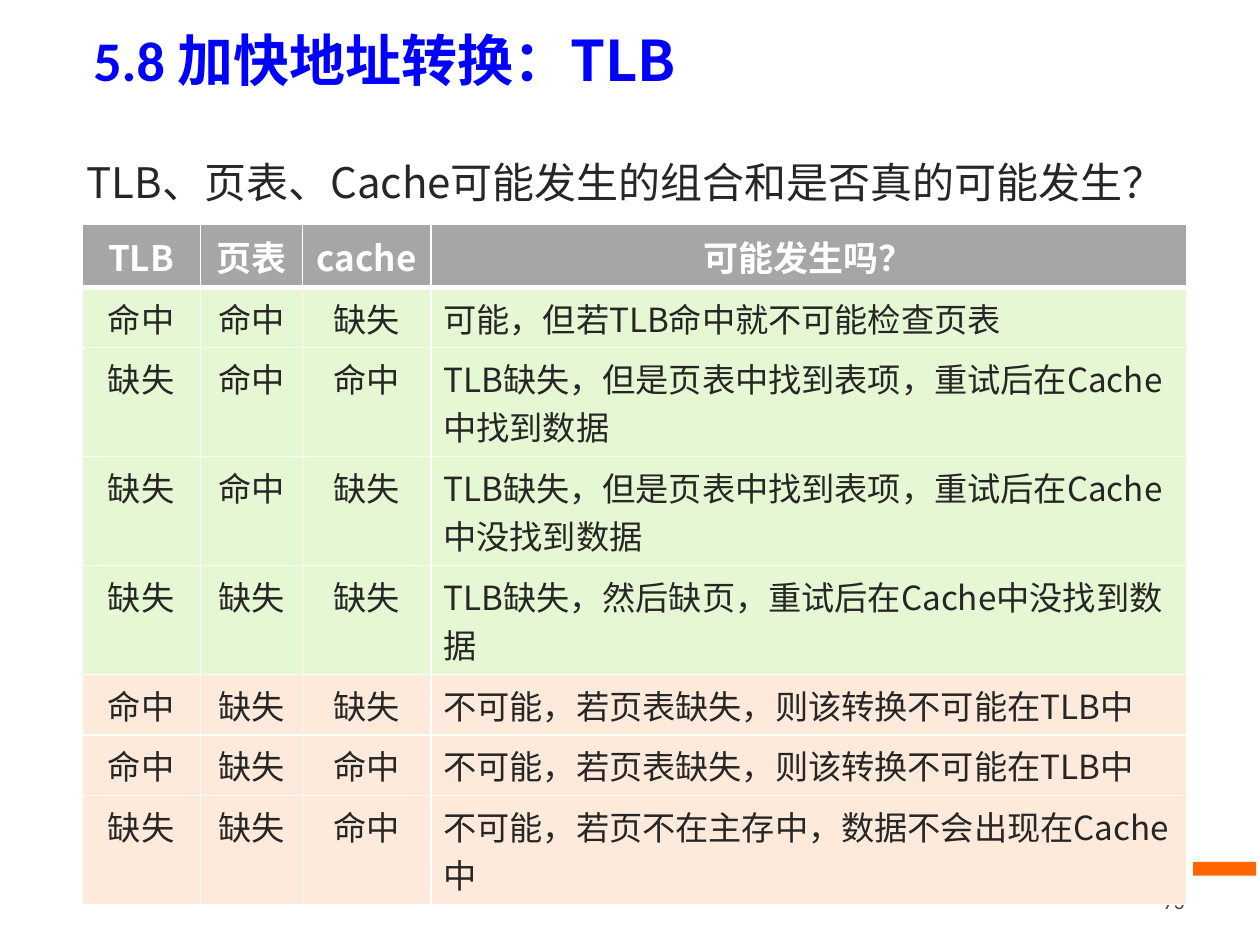
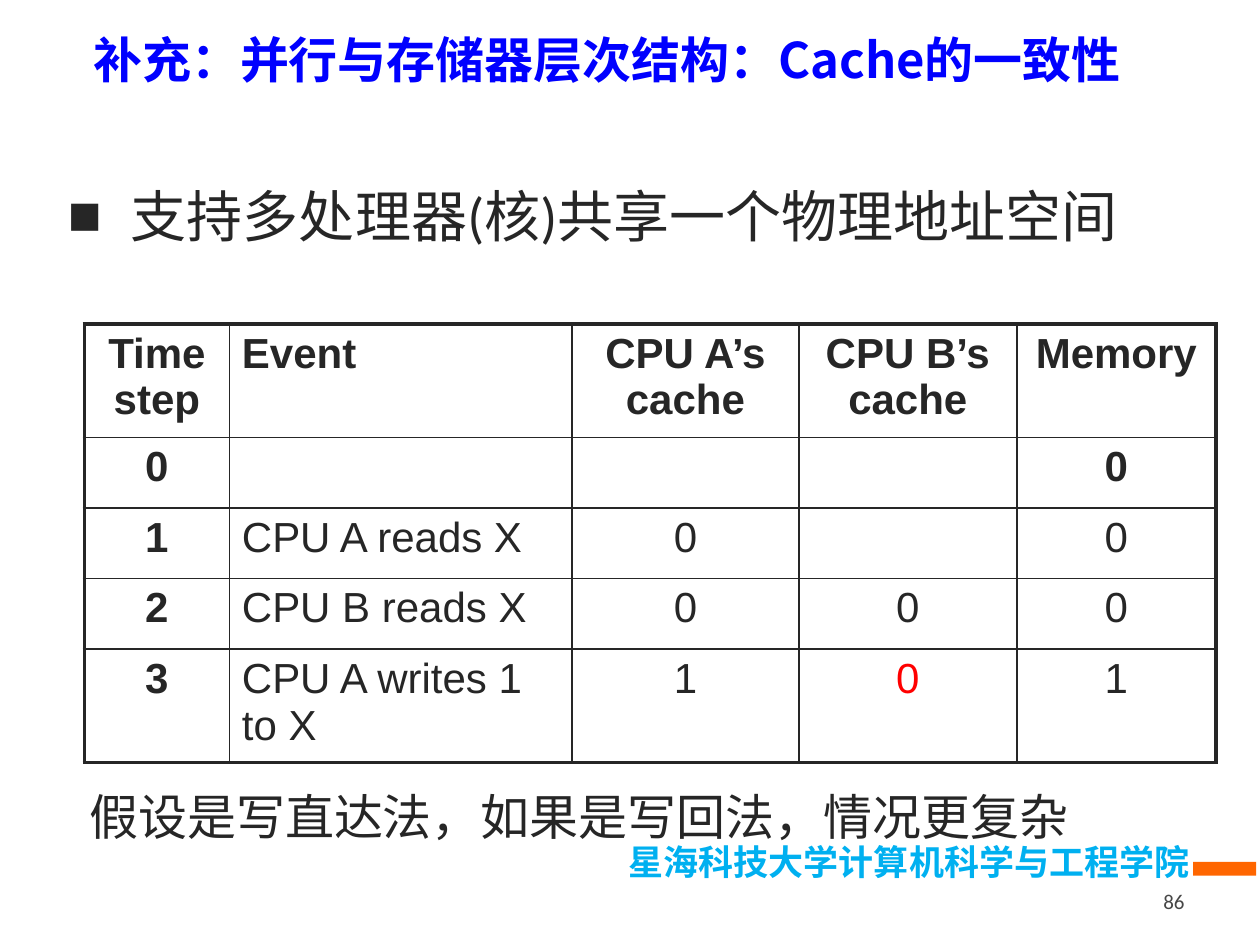
from pptx import Presentation
from pptx import util as u
from pptx.dml.color import RGBColor
from pptx.enum import shapes, text
from pptx.oxml import xmlchemy

BLUE = RGBColor(0x00, 0x00, 0xFF)
SKY = RGBColor(0x00, 0xB0, 0xF0)
ORANGE = RGBColor(0xFF, 0x66, 0x00)
RED = RGBColor(0xFF, 0x00, 0x00)
INK = RGBColor(0x26, 0x26, 0x26)
SLATE = RGBColor(0x47, 0x47, 0x47)
WHITE = RGBColor(0xFF, 0xFF, 0xFF)
HEADER_GREY = RGBColor(0xA6, 0xA6, 0xA6)
POSSIBLE_GREEN = RGBColor(0xE5, 0xF7, 0xD3)
IMPOSSIBLE_PEACH = RGBColor(0xFD, 0xEA, 0xDA)

HAN, LATIN, SANS = "Noto Sans CJK SC", "Calibri", "Arial"
LEFT, CENTER, RIGHT = text.PP_ALIGN.LEFT, text.PP_ALIGN.CENTER, text.PP_ALIGN.RIGHT
SCHOOL = "星海科技大学计算机科学与工程学院"


def child(parent, tag, **attributes):
    """Append a DrawingML element to parent."""
    element = xmlchemy.OxmlElement(tag)
    for name, value in attributes.items():
        element.set(name, str(value))
    parent.append(element)
    return element


def write(frame, words, size=20, font=HAN, color=INK, bold=False, align=LEFT,
          spacing=None, before=None):
    """Fill the first paragraph; words is a string or (string, font) pairs."""
    paragraph = frame.paragraphs[0]
    paragraph.alignment = align
    if spacing:
        paragraph.line_spacing = spacing
    if before:
        paragraph.space_before = u.Pt(before)
    for part, face in [(words, font)] if isinstance(words, str) else words:
        run = paragraph.add_run()
        run.text = part
        run.font.size = u.Pt(size)
        run.font.bold = bold
        run.font.color.rgb = color
        run.font.name = face
        child(run.font._element, "a:ea", typeface=HAN)
    return paragraph


def set_borders(cell, color, widths):
    """Draw the cell edges; widths maps L, R, T, B to points."""
    properties = cell._tc.get_or_add_tcPr()
    for side in "LRTB":
        line = child(properties, f"a:ln{side}", w=u.Pt(widths[side]))
        child(child(line, "a:solidFill"), "a:srgbClr", val=color)


class Deck:
    def __init__(self):
        self.file = Presentation()
        self.file.slide_width, self.file.slide_height = u.Inches(10), u.Inches(7.5)
        self.slide = None

    def start(self, title, number, title_size):
        """Add a slide with its title, school band and page number."""
        self.slide = self.file.slides.add_slide(self.file.slide_layouts[5])
        heading = self.slide.shapes.title
        heading.left, heading.top = u.Inches(0.64), u.Inches(0.09)
        heading.width, heading.height = u.Inches(9), u.Inches(0.75)
        frame = heading.text_frame
        frame.auto_size = text.MSO_AUTO_SIZE.NONE
        frame.vertical_anchor = text.MSO_ANCHOR.MIDDLE
        write(frame, title, size=title_size, color=BLUE, bold=True)

        self.label(SCHOOL, 0.82, 6.62, 8.72, 0.44, color=SKY, bold=True, align=RIGHT)
        self.bar(9.47, 6.84, 0.5, 0.11, ORANGE)
        self.label(number, 7.17, 6.95, 2.33, 0.4, middle=True, size=12,
                   font=LATIN, color=SLATE, align=RIGHT)

    def bar(self, left, top, width, height, color):
        bar = self.slide.shapes.add_shape(
            shapes.MSO_SHAPE.RECTANGLE, *map(u.Inches, (left, top, width, height)))
        bar.shadow.inherit = False
        bar.fill.solid()
        bar.fill.fore_color.rgb = color
        bar.line.fill.background()

    def label(self, words, left, top, width, height, middle=False, inset=0.1, **style):
        box = self.slide.shapes.add_textbox(*map(u.Inches, (left, top, width, height)))
        frame = box.text_frame
        frame.word_wrap = True
        frame.margin_left = frame.margin_right = u.Inches(inset)
        if middle:
            frame.vertical_anchor = text.MSO_ANCHOR.MIDDLE
        return write(frame, words, **style)

    def bullet(self, words, *place, **style):
        properties = self.label(words, *place, **style)._p.get_or_add_pPr()
        properties.set("marL", str(u.Inches(0.5)))
        properties.set("indent", str(-u.Inches(0.5)))
        child(properties, "a:buFont", typeface=SANS)
        child(properties, "a:buChar", char="■")

    def table(self, rows, left, top, widths, heights, line_color, look, edges):
        """look(row, col) gives (fill, text style); edges(row, col) gives border widths."""
        grid = self.slide.shapes.add_table(
            len(rows), len(widths), u.Inches(left), u.Inches(top),
            u.Inches(sum(widths)), u.Inches(sum(heights))).table
        grid.first_row = grid.horz_banding = False
        for column, width in zip(grid.columns, widths):
            column.width = u.Inches(width)
        for r, (row, height) in enumerate(zip(rows, heights)):
            grid.rows[r].height = u.Inches(height)
            for c, words in enumerate(row):
                cell = grid.cell(r, c)
                fill, style = look(r, c)
                set_borders(cell, line_color, edges(r, c))
                if fill is None:
                    cell.fill.background()
                else:
                    cell.fill.solid()
                    cell.fill.fore_color.rgb = fill
                if words:
                    write(cell.text_frame, words, **style)


def add_tlb_slide(deck):
    deck.start([("5.8 ", LATIN), ("加快地址转换：TLB", HAN)], "73", 32)
    deck.label("TLB、页表、Cache可能发生的组合和是否真的可能发生？",
               0.59, 0.99, 9.21, 0.79, middle=True, size=24, spacing=1.3)

    # Hit and miss combinations
    hit, miss = "命中", "缺失"
    not_in_tlb = "不可能，若页表缺失，则该转换不可能在TLB中"
    cases = [
        ("TLB", "页表", "cache", "可能发生吗？"),
        (hit, hit, miss, "可能，但若TLB命中就不可能检查页表"),
        (miss, hit, hit, "TLB缺失，但是页表中找到表项，重试后在Cache中找到数据"),
        (miss, hit, miss, "TLB缺失，但是页表中找到表项，重试后在Cache中没找到数据"),
        (miss, miss, miss, "TLB缺失，然后缺页，重试后在Cache中没找到数据"),
        (hit, miss, miss, not_in_tlb),
        (hit, miss, hit, not_in_tlb),
        (miss, miss, hit, "不可能，若页不在主存中，数据不会出现在Cache中"),
    ]
    one_line, two_lines = 0.48, 0.865
    heights = [0.5, one_line] + [two_lines] * 3 + [one_line] * 2 + [two_lines]

    def look(r, c):
        if r == 0:
            return HEADER_GREY, dict(color=WHITE, bold=True, align=CENTER)
        impossible = cases[r][-1].startswith("不可能")
        return (IMPOSSIBLE_PEACH if impossible else POSSIBLE_GREEN,
                dict(size=19, align=LEFT if c == 3 else CENTER))

    def edges(r, c):
        return dict(L=1, R=1, T=3 if r == 1 else 1, B=3 if r == 0 else 1)

    deck.table(cases, 0.65, 1.78, [0.94, 0.81, 1.02, 6], heights, WHITE, look, edges)


def add_coherence_slide(deck):
    deck.start("补充：并行与存储器层次结构：Cache的一致性", "86", 28)
    deck.bullet("支持多处理器(核)共享一个物理地址空间", 0.43, 1.39, 9.06, 0.65,
                inset=0.11, size=32, font=LATIN)

    # Write-through trace
    steps = [
        ("Time step", "Event", "CPU A’s cache", "CPU B’s cache", "Memory"),
        ("0", "", "", "", "0"),
        ("1", "CPU A reads X", "0", "", "0"),
        ("2", "CPU B reads X", "0", "0", "0"),
        ("3", "CPU A writes 1 to X", "1", "0", "1"),
    ]
    widths = [1.15, 2.72, 1.8, 1.73, 1.58]
    last_row, last_col = len(steps) - 1, len(widths) - 1
    stale_copy = (last_row, 3)

    def look(r, c):
        return None, dict(size=24, font=SANS, before=4, bold=r < 2 or c == 0,
                          color=RED if (r, c) == stale_copy else INK,
                          align=LEFT if c == 1 else CENTER)

    def edges(r, c):
        outer = dict(L=c == 0, R=c == last_col, T=r == 0, B=r == last_row)
        return {side: 2.25 if is_outer else 1 for side, is_outer in outer.items()}

    deck.table(steps, 0.67, 2.57, widths, [0.7] + [0.56] * last_row, INK, look, edges)
    deck.label("假设是写直达法，如果是写回法，情况更复杂", 0.6, 6.19, 9.06, 0.58,
               inset=0.11, size=28, font=LATIN)


def main():
    deck = Deck()
    add_tlb_slide(deck)
    add_coherence_slide(deck)
    deck.file.save("out.pptx")


if __name__ == "__main__":
    main()
